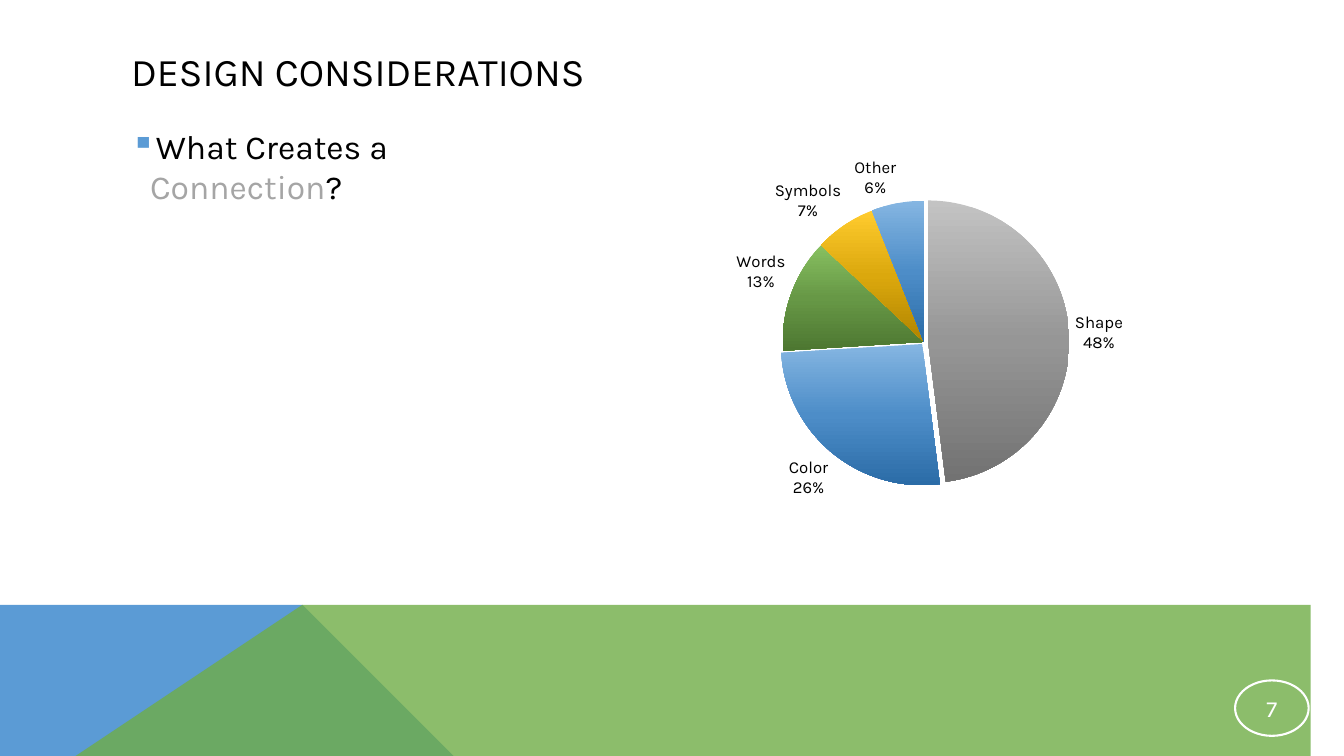
from copy import deepcopy

from lxml import etree
from pptx import Presentation
from pptx.chart.data import CategoryChartData
from pptx.dml.color import RGBColor
from pptx.enum import chart as charts, shapes, text
from pptx.oxml import parse_xml
from pptx.oxml.ns import nsdecls, qn
from pptx.util import Inches, Pt

# Content
FONT = "Karla"
BLACK = RGBColor(0, 0, 0)
WHITE = RGBColor(255, 255, 255)
GRAY = RGBColor(0xA5, 0xA5, 0xA5)
BLUE = RGBColor(0x5B, 0x9B, 0xD5)
GREEN = RGBColor(0x70, 0xAD, 0x47)

TITLE = "DESIGN CONSIDERATIONS"
QUESTION = [("What Creates a ", BLACK), ("Connection", GRAY), ("?", BLACK)]
PAGE_NUMBER = "7"

GRAY_SHADES = ("C3C3C3", "969696", "727272")
BLUE_SHADES = ("85B6E2", "4D8DC8", "2B6CA7")
GREEN_SHADES = ("87C060", "679846", "4D7731")
GOLD_SHADES = ("FFCB2E", "DBA80D", "B08400")
SLICES = [  # category, value, gradient from top to bottom, explosion
    ("Shape", 48, GRAY_SHADES, 3),
    ("Color", 26, BLUE_SHADES, 2),
    ("Words", 13, GREEN_SHADES, 0),
    ("Symbols", 7, GOLD_SHADES, 0),
    ("Other", 6, BLUE_SHADES, 0),
]
PLOT_AREA = {"x": 0.159, "y": 0.195, "w": 0.673, "h": 0.69}

WIDTH, HEIGHT, BAND_TOP = 13.33, 7.5, 5.52
BANDS = [  # outline, colour, opacity in percent
    ([(0, HEIGHT), (0, BAND_TOP), (2.98, BAND_TOP), (5.21, HEIGHT)], BLUE, 100),
    ([(0, HEIGHT), (2.97, BAND_TOP), (WIDTH, BAND_TOP), (WIDTH, HEIGHT)], GREEN, 80),
]


def add_text(paragraph, words, size, color=BLACK):
    run = paragraph.add_run()
    run.text = words
    run.font.name = FONT
    run.font.size = Pt(size)
    run.font.color.rgb = color


def place(shape, left, top, width, height):
    shape.left, shape.top = Inches(left), Inches(top)
    shape.width, shape.height = Inches(width), Inches(height)


presentation = Presentation()
presentation.slide_width = Inches(WIDTH)
presentation.slide_height = Inches(HEIGHT)
slide = presentation.slides.add_slide(presentation.slide_layouts[5])

# Coloured bands along the bottom
for outline, color, opacity in BANDS:
    builder = slide.shapes.build_freeform(*outline[0], scale=Inches(1))
    builder.add_line_segments(outline[1:], close=True)
    band = builder.convert_to_shape()
    band.shadow.inherit = False
    band.line.fill.background()
    band.fill.solid()
    band.fill.fore_color.rgb = color
    if opacity < 100:
        color_element = band._element.spPr.find(qn("a:solidFill"))[0]
        etree.SubElement(color_element, qn("a:alpha"), val=str(opacity * 1000))

# Title
title = slide.shapes.title
place(title, 1.2, 0.4, 10.97, 0.6)
title.text_frame.vertical_anchor = text.MSO_ANCHOR.MIDDLE
title.text_frame.paragraphs[0].alignment = text.PP_ALIGN.LEFT
add_text(title.text_frame.paragraphs[0], TITLE, 28)

# Bulleted question
question = slide.shapes.add_textbox(Inches(1.2), Inches(1.2), Inches(4.67), Inches(4.06))
question.text_frame.word_wrap = True
paragraph = question.text_frame.paragraphs[0]
paragraph.space_before = Pt(3)
for words, color in QUESTION:
    add_text(paragraph, words, 24, color)
properties = paragraph._p.get_or_add_pPr()
properties.set("marL", str(Inches(0.19)))
properties.set("indent", str(Inches(-0.19)))
bullet_color = etree.SubElement(properties, qn("a:buClr"))
etree.SubElement(bullet_color, qn("a:srgbClr"), val=str(BLUE))
etree.SubElement(properties, qn("a:buChar"), char="▪")

# Pie chart
data = CategoryChartData()
data.categories = [name for name, *_ in SLICES]
data.add_series("Series 1", [value for _, value, *_ in SLICES])
chart = slide.shapes.add_chart(
    charts.XL_CHART_TYPE.PIE, Inches(6.85), Inches(1.2), Inches(4.67), Inches(4.06), data
).chart
chart.has_title = False
chart.has_legend = False
chart.font.name = FONT
chart.font.size = Pt(12)
chart.font.color.rgb = BLACK

plot = chart.plots[0]
plot.vary_by_categories = True
plot.has_data_labels = True
labels = plot.data_labels
labels.show_value = False
labels.show_category_name = True
labels.show_percentage = True
labels.position = charts.XL_LABEL_POSITION.OUTSIDE_END
labels.font.name = FONT
labels.font.size = Pt(12)
labels.font.color.rgb = BLACK
separator = etree.Element(qn("c:separator"))
separator.text = "\n"
labels._element.find(qn("c:showBubbleSize")).addnext(separator)

# Slice gradients and explosion
series = plot.series[0]
for index, (_, _, shades, explosion) in enumerate(SLICES):
    slice_format = series.points[index].format
    slice_format.line.fill.background()
    fill = slice_format.fill
    fill.gradient()
    fill.gradient_angle = 270
    stop_list = series._element.findall(".//" + qn("a:gsLst"))[-1]
    stop_list.insert(1, deepcopy(stop_list[0]))
    for stop, position, shade in zip(fill.gradient_stops, (0, 0.5, 1), shades):
        stop.position = position
        stop.color.rgb = RGBColor.from_string(shade)
    if explosion:
        point = series._element.findall(qn("c:dPt"))[-1]
        explosion_element = etree.Element(qn("c:explosion"), val=str(explosion))
        point.find(qn("c:spPr")).addprevious(explosion_element)

# Fixed plot area inside the chart
plot_area = chart._chartSpace.chart.plotArea
for old_layout in plot_area.findall(qn("c:layout")):
    plot_area.remove(old_layout)
layout = parse_xml(
    f'<c:layout {nsdecls("c")}><c:manualLayout><c:layoutTarget val="inner"/>'
    '<c:xMode val="edge"/><c:yMode val="edge"/>'
    + "".join(f'<c:{key} val="{value}"/>' for key, value in PLOT_AREA.items())
    + "</c:manualLayout></c:layout>"
)
plot_area.insert(0, layout)

# Page number badge
badge = slide.shapes.add_shape(
    shapes.MSO_SHAPE.OVAL, Inches(12.25), Inches(6.75), Inches(0.73), Inches(0.55)
)
badge.shadow.inherit = False
badge.fill.background()
badge.line.color.rgb = WHITE
badge.line.width = Pt(1.5)
frame = badge.text_frame
frame.margin_left = frame.margin_right = Inches(0.01)
frame.margin_top = frame.margin_bottom = Inches(0.01)
frame.vertical_anchor = text.MSO_ANCHOR.MIDDLE
frame.paragraphs[0].alignment = text.PP_ALIGN.CENTER
add_text(frame.paragraphs[0], PAGE_NUMBER, 16.5, WHITE)

presentation.save("out.pptx")
